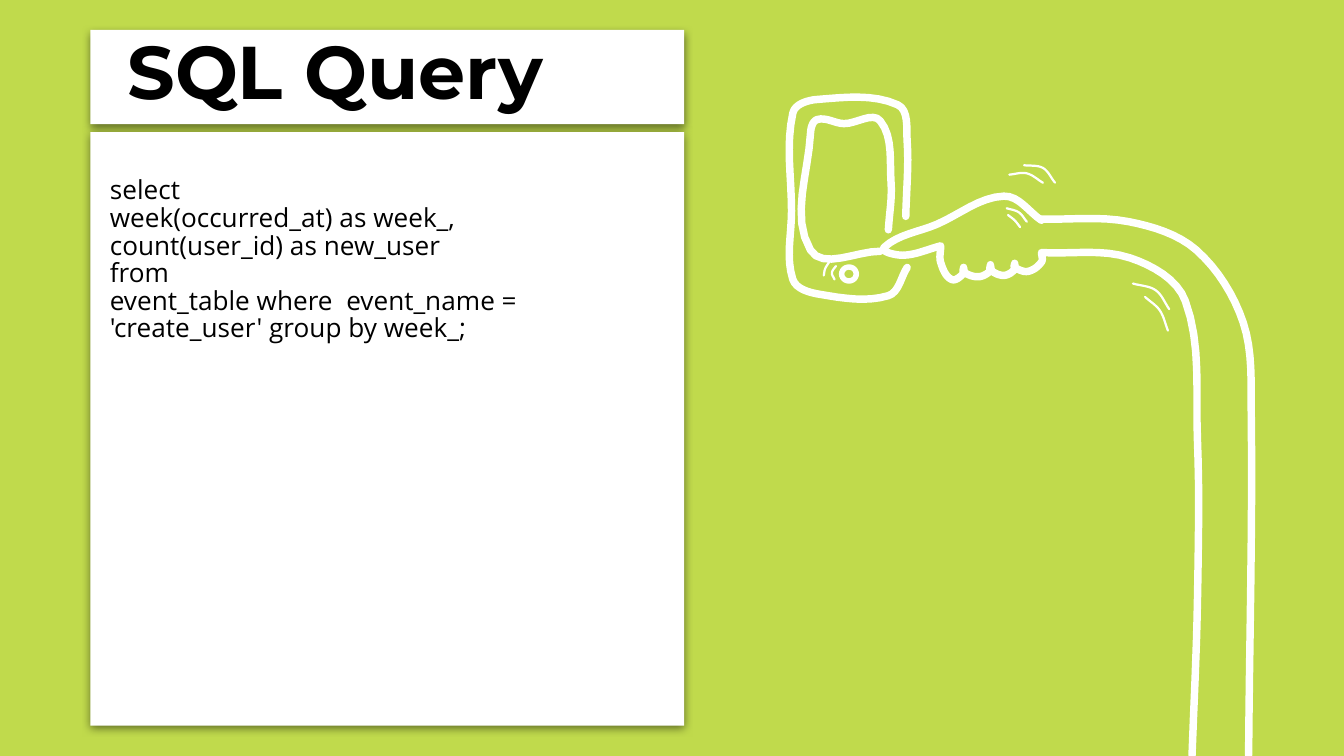
"""Build a slide with an SQL query beside a hand that taps a phone."""
import dataclasses
import math

import lxml.etree
import pptx
import pptx.dml.color
import pptx.enum.shapes
import pptx.enum.text
import pptx.oxml.ns
import pptx.util

Pt = pptx.util.Pt
GRID = 0.72
STEPS = 8


@dataclasses.dataclass(frozen=True)
class Theme:
    lime: str = "C0DA4C"
    white: str = "FFFFFF"
    black: str = "000000"
    head_font: str = "Montserrat"
    body_font: str = "Open Sans"
    head_size: float = 40
    body_size: float = 14
    bold_line: float = 4
    thin_line: float = 1.2


PHONE = [(674, 161), (675, 105), (668, 78), (608, 74), (590, 84),
         (589, 157), (590, 208), (610, 219), (661, 220), (675, 199)]
SCREEN = [(661, 171), (663, 136), (655, 90), (628, 92), (608, 89),
          (603, 100), (603, 186), (655, 187)]
HAND = [(775, 164), (747, 146), (697, 167), (658, 184), (672, 190), (700, 183)]
WRIST = (775, 188)
TIPS = [(700, 183), (717, 199), (737, 197), (755, 196), WRIST]
PADS = [(708, 208), (728, 206), (747, 205), (765, 202)]
INNER = [WRIST, (841, 192), (882, 224), (891, 327), (891, 448), (887, 562)]
OUTER = [(775, 163), (840, 165), (890, 186), (925, 240), (931, 308), (929, 562)]
MARKS = [
    [(622, 198), (619, 203), (621, 208)],
    [(617, 195), (614, 200), (613, 205)],
    [(749, 155), (758, 158), (764, 165)],
    [(750, 160), (755, 164), (759, 169)],
    [(751, 130), (764, 129), (776, 136)],
    [(762, 123), (776, 125), (785, 136)],
    [(843, 211), (860, 216), (870, 230)],
    [(852, 221), (863, 231), (869, 246)],
]
QUERY = """select
week(occurred_at) as week_,
count(user_id) as new_user
from
event_table where  event_name = 'create_user' group by week_;"""


def shade(tone):
    return pptx.dml.color.RGBColor.from_string(tone)


def curve(knots):
    """Return points on a smooth curve through the knots."""
    ends = [knots[0], *knots, knots[-1]]
    leans = []
    for (ax, ay), (bx, by) in zip(ends, ends[2:]):
        size = math.hypot(bx - ax, by - ay) or 1
        leans.append(((bx - ax) / size, (by - ay) / size))
    points = [knots[0]]
    for start, end, lead, tail in zip(knots, knots[1:], leans, leans[1:]):
        reach = math.dist(start, end) / 3
        for step in range(1, STEPS + 1):
            t = step / STEPS
            u = 1 - t
            points.append(tuple(
                u**3 * a + 3 * u * u * t * (a + reach * p)
                + 3 * u * t * t * (b - reach * q) + t**3 * b
                for a, b, p, q in zip(start, end, lead, tail)))
    return points


def write(frame, text, *, font, size, tone, bold=False, pitch=1.0):
    """Fill a text frame, one paragraph for each line."""
    for i, line in enumerate(text.split("\n")):
        para = frame.paragraphs[0] if i == 0 else frame.add_paragraph()
        para.line_spacing = pitch
        run = para.add_run()
        run.text = line
        run.font.name, run.font.size, run.font.bold = font, Pt(size), bold
        run.font.color.rgb = shade(tone)


class Board:
    """Holds the theme and the current slide."""

    def __init__(self, deck, theme):
        self.theme = theme
        self.slide = deck.slides.add_slide(deck.slide_layouts[6])
        self.shapes = self.slide.shapes
        fill = self.slide.background.fill
        fill.solid()
        fill.fore_color.rgb = shade(theme.lime)

    def solid(self, kind, *box):
        shape = self.shapes.add_shape(kind, *map(Pt, box))
        shape.shadow.inherit = False
        shape.fill.solid()
        shape.fill.fore_color.rgb = shade(self.theme.white)
        shape.line.fill.background()
        return shape

    def card(self, *box):
        shape = self.solid(pptx.enum.shapes.MSO_SHAPE.RECTANGLE, *box)
        name = pptx.oxml.ns.qn
        glow = lxml.etree.SubElement(
            shape.element.spPr.find(name("a:effectLst")), name("a:outerShdw"),
            blurRad=str(Pt(4.5)), dist=str(Pt(1.5)), dir="5400000",
            algn="bl", rotWithShape="0")
        tone = lxml.etree.SubElement(glow, name("a:srgbClr"), val=self.theme.black)
        lxml.etree.SubElement(tone, name("a:alpha"), val="50000")

    def label(self, text, *box, **style):
        frame = self.shapes.add_textbox(*map(Pt, box)).text_frame
        frame.word_wrap = True
        frame.vertical_anchor = pptx.enum.text.MSO_ANCHOR.MIDDLE
        frame.margin_left = frame.margin_right = Pt(7.2)
        frame.margin_top = frame.margin_bottom = Pt(7.2)
        write(frame, text, tone=self.theme.black, **style)

    def stroke(self, points, width):
        spots = [(Pt(GRID * x), Pt(GRID * y)) for x, y in points]
        pen = self.shapes.build_freeform(*spots[0])
        pen.add_line_segments(spots[1:], close=False)
        shape = pen.convert_to_shape()
        shape.shadow.inherit = False
        shape.fill.background()
        shape.line.color.rgb = shade(self.theme.white)
        shape.line.width = Pt(width)
        shape.line._get_or_add_ln().set("cap", "rnd")

    def ring(self, *box):
        shape = self.solid(pptx.enum.shapes.MSO_SHAPE.DONUT, *box)
        shape.adjustments[0] = 0.28


def main():
    deck = pptx.Presentation()
    deck.slide_width, deck.slide_height = Pt(720), Pt(405)
    theme = Theme()
    board = Board(deck, theme)
    board.card(48.5, 16, 318, 50.5)
    board.card(48.5, 70.8, 318, 318)
    board.label("SQL Query", 61.2, -3.6, 293.8, 81.4,
                font=theme.head_font, size=theme.head_size, bold=True)
    board.label(QUERY, 51.8, 29.5, 305.3, 220.3,
                font=theme.body_font, size=theme.body_size, pitch=0.88)
    palm = curve(HAND)
    for (ax, ay), (px, py), (bx, by) in zip(TIPS, PADS, TIPS[1:]):
        palm += curve([(ax, ay), (ax, (ay + py) / 2), (px, py),
                       (bx, (by + py) / 2), (bx, by)])
    palm += curve(INNER)
    for points in (curve(PHONE), curve(SCREEN), palm, curve(OUTER)):
        board.stroke(points, theme.bold_line)
    board.ring(449.4, 141.6, 10.8, 10.4)
    for knots in MARKS:
        board.stroke(curve(knots), theme.thin_line)
    deck.save("out.pptx")


if __name__ == "__main__":
    main()
